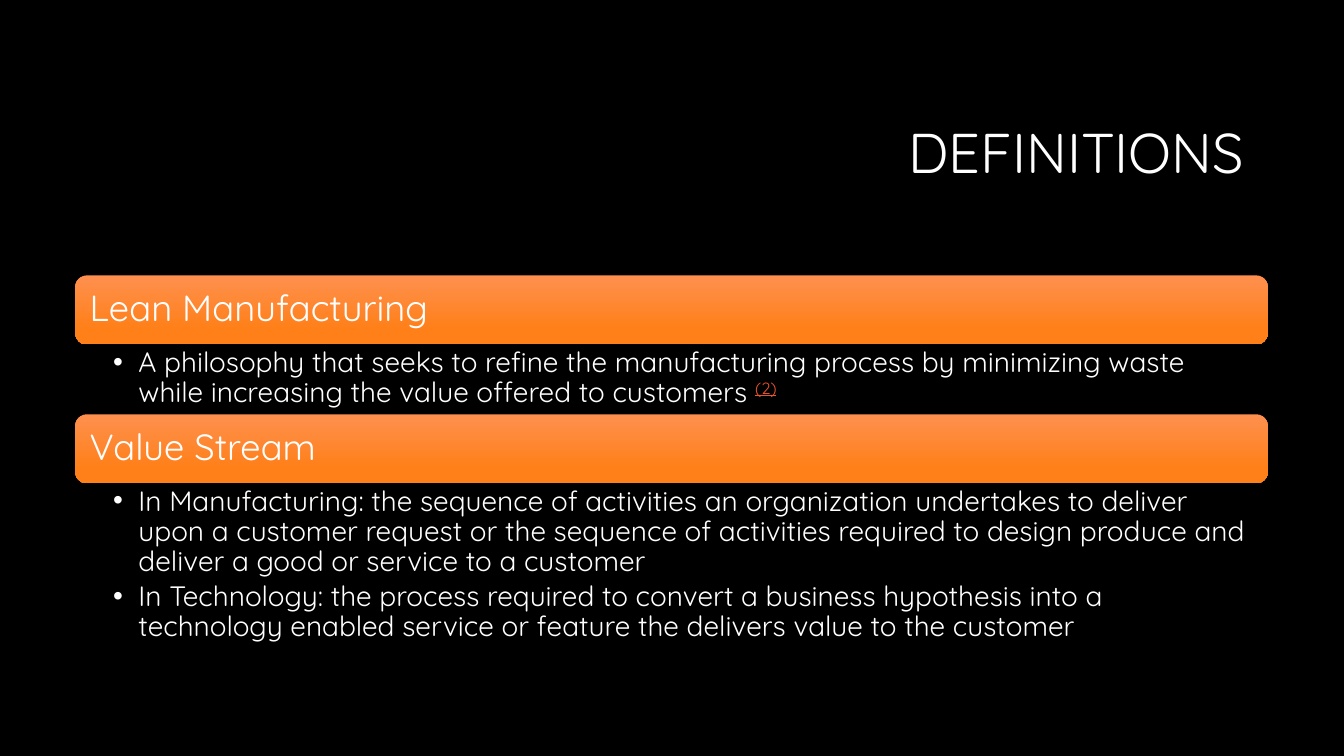
from lxml import etree
from pptx import Presentation
from pptx import util as u
from pptx.dml import color
from pptx.enum import shapes, text
from pptx.oxml import ns

FONT = "Quicksand"
COLOURS = {
    "background": "000000",
    "text": "FFFFFF",
    "band_top": "FE904F",
    "band_bottom": "FF8019",
    "reference": "F0532B",
}
LEFT, WIDTH, BAND_HEIGHT, LABEL_MARGIN = 1.9, 30.05, 1.74, 0.08
DEFINITIONS = [
    ("Lean Manufacturing", 1.76, [
        ("A philosophy that seeks to refine the manufacturing process by minimizing waste "
         "while increasing the value offered to customers ", "(2)"),
    ]),
    ("Value Stream", 4.27, [
        ("In Manufacturing: the sequence of activities an organization undertakes to deliver "
         "upon a customer request or the sequence of activities required to design produce "
         "and deliver a good or service to a customer", None),
        ("In Technology: the process required to convert a business hypothesis into a "
         "technology enabled service or feature the delivers value to the customer", None),
    ]),
]


def rgb(name):
    """Return the named colour."""
    return color.RGBColor.from_string(COLOURS[name])


def style_span(span, size, colour="text"):
    """Set the font, size and colour of a run."""
    span.font.name = FONT
    span.font.size = u.Pt(size)
    span.font.color.rgb = rgb(colour)


def add_box(page, left, top, width, height, margins, anchor):
    """Add an empty wrapping text box and return its frame."""
    box = page.shapes.add_textbox(u.Cm(left), u.Cm(top), u.Cm(width), u.Cm(height))
    frame = box.text_frame
    frame.word_wrap = True
    frame.vertical_anchor = anchor
    frame.margin_left, frame.margin_top, frame.margin_right, frame.margin_bottom = map(u.Cm, margins)
    return frame


def add_line_of_text(page, wording, size, place, margins, align):
    """Add a vertically centred box with one paragraph."""
    frame = add_box(page, *place, margins, text.MSO_ANCHOR.MIDDLE)
    frame.text = wording
    para = frame.paragraphs[0]
    para.alignment = align
    para.line_spacing = 0.9
    style_span(para.runs[0], size)


def add_band(page, label, top):
    """Add a gradient band with its label."""
    band = page.shapes.add_shape(
        shapes.MSO_SHAPE.ROUNDED_RECTANGLE,
        u.Cm(LEFT), u.Cm(top), u.Cm(WIDTH), u.Cm(BAND_HEIGHT))
    band.shadow.inherit = False
    band.line.fill.background()
    band.fill.gradient()
    band.fill.gradient_angle = 270
    stops = (("band_top", 0), ("band_bottom", 0.78))
    for stop, (colour, position) in zip(band.fill.gradient_stops, stops):
        stop.color.rgb = rgb(colour)
        stop.position = position
    place = (LEFT + LABEL_MARGIN, top + LABEL_MARGIN,
             WIDTH - 2 * LABEL_MARGIN, BAND_HEIGHT - 2 * LABEL_MARGIN)
    add_line_of_text(page, label, 26, place, [0.28] * 4, text.PP_ALIGN.LEFT)


def add_bullet(para):
    """Give a paragraph a hanging round bullet."""
    props = para._p.get_or_add_pPr()
    props.set("marL", str(u.Cm(0.64)))
    props.set("indent", str(-u.Cm(0.64)))
    etree.SubElement(props, ns.qn("a:buFont")).set("typeface", "Arial")
    etree.SubElement(props, ns.qn("a:buChar")).set("char", "•")


def add_details(page, details, top, height):
    """Add the bulleted explanations under a band."""
    frame = add_box(page, LEFT, top, WIDTH, height, (0.95, 0.09, 0.51, 0.09), text.MSO_ANCHOR.TOP)
    frame.text = "\n".join(wording for wording, _ in details)
    for para, (_, reference) in zip(frame.paragraphs, details):
        para.line_spacing = 0.9
        para.space_after = u.Pt(3.5)
        add_bullet(para)
        style_span(para.runs[0], 20)
        if reference:
            span = para.add_run()
            span.text = reference
            style_span(span, 20, "reference")
            span.font.underline = True
            span._r.get_or_add_rPr().set("baseline", "30000")


def main():
    """Build the definitions slide."""
    deck = Presentation()
    deck.slide_width, deck.slide_height = u.Cm(33.87), u.Cm(19.05)
    page = deck.slides.add_slide(deck.slide_layouts[6])
    page.background.fill.solid()
    page.background.fill.fore_color.rgb = rgb("background")
    add_line_of_text(page, "DEFINITIONS ", 40, (8.05, 2.13, 23.93, 3.58),
                     (0.25, 0.13, 0.25, 0.13), text.PP_ALIGN.RIGHT)
    top = 6.94
    for label, height, details in DEFINITIONS:
        add_band(page, label, top)
        add_details(page, details, top + BAND_HEIGHT, height)
        top += BAND_HEIGHT + height
    deck.save("out.pptx")


if __name__ == "__main__":
    main()
